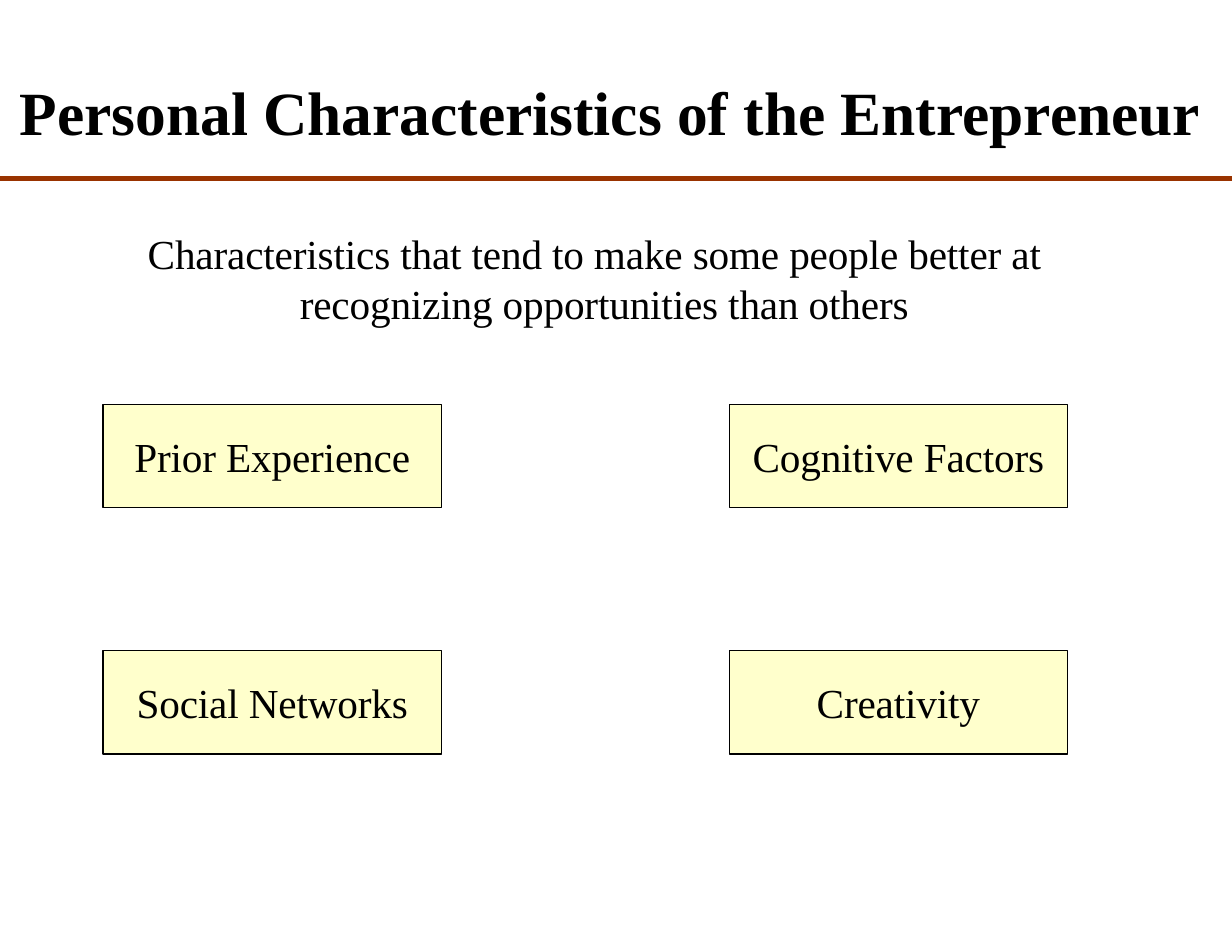
import pptx
import pptx.dml.color
import pptx.enum.shapes
import pptx.enum.text
import pptx.oxml
import pptx.util
from pptx.util import Cm

RGBColor = pptx.dml.color.RGBColor
BLACK = RGBColor(0x00, 0x00, 0x00)
RUST = RGBColor(0x99, 0x33, 0x00)
CREAM = RGBColor(0xFF, 0xFF, 0xCC)
FONT = "Times New Roman"


def style_text(s, text, size, bold=False, spacing=0, top=0):
    tf = s.text_frame
    tf.word_wrap = True
    tf.margin_left = tf.margin_right = tf.margin_bottom = 0
    tf.margin_top = Cm(top)
    tf.text = text
    p = tf.paragraphs[0]
    r = p.runs[0]
    r.font.name = FONT
    r.font.size = pptx.util.Pt(size)
    r.font.bold = bold
    r.font.color.rgb = BLACK
    # Letter spacing in hundredths of a point
    if spacing:
        r._r.get_or_add_rPr().set("spc", str(spacing))
    return p


def add_text(sp, x, y, w, h, text, size, **style):
    s = sp.add_textbox(Cm(x), Cm(y), Cm(w), Cm(h))
    return style_text(s, text, size, **style)


def add_rule(sp, y, width):
    s = sp.add_connector(pptx.enum.shapes.MSO_CONNECTOR.STRAIGHT,
                         0, Cm(y), width, Cm(y))
    s.line.color.rgb = RUST
    s.line.width = pptx.util.Pt(3.25)
    s._element.spPr.append(pptx.oxml.xmlchemy.OxmlElement("a:effectLst"))


def add_box(sp, x, y, text):
    s = sp.add_shape(pptx.enum.shapes.MSO_SHAPE.RECTANGLE,
                     Cm(x), Cm(y), Cm(7.67), Cm(2.34))
    s.shadow.inherit = False
    s.fill.solid()
    s.fill.fore_color.rgb = CREAM
    s.line.color.rgb = BLACK
    s.line.width = pptx.util.Pt(0.84)
    p = style_text(s, text, 26.5, spacing=-10)
    p.alignment = pptx.enum.text.PP_ALIGN.CENTER
    s.text_frame.vertical_anchor = pptx.enum.text.MSO_ANCHOR.MIDDLE


def main():
    prs = pptx.Presentation()
    prs.slide_width, prs.slide_height = Cm(27.94), Cm(21.59)
    sp = prs.slides.add_slide(prs.slide_layouts[6]).shapes

    # Title and rule
    add_text(sp, 0.45, 1.5, 27.49, 1.73,
             "Personal Characteristics of the Entrepreneur",
             39.5, bold=True, top=0.18)
    add_rule(sp, 4.04, prs.slide_width)

    # Introduction with an indented second line
    p = add_text(sp, 3.3, 5.05, 20.5, 2.31,
                 "Characteristics that tend to make some people better at "
                 "recognizing opportunities than others",
                 26.5, spacing=-10, top=0.14)
    p.line_spacing = pptx.util.Pt(31.7)
    pPr = p._p.get_or_add_pPr()
    pPr.set("marL", str(Cm(3.5)))
    pPr.set("indent", str(-Cm(3.45)))

    # Grid of characteristics
    grid = [["Prior Experience", "Cognitive Factors"],
            ["Social Networks", "Creativity"]]
    for row, names in enumerate(grid):
        for col, name in enumerate(names):
            add_box(sp, 2.34 + 14.2 * col, 9.17 + 5.59 * row, name)

    prs.save("out.pptx")


if __name__ == "__main__":
    main()
